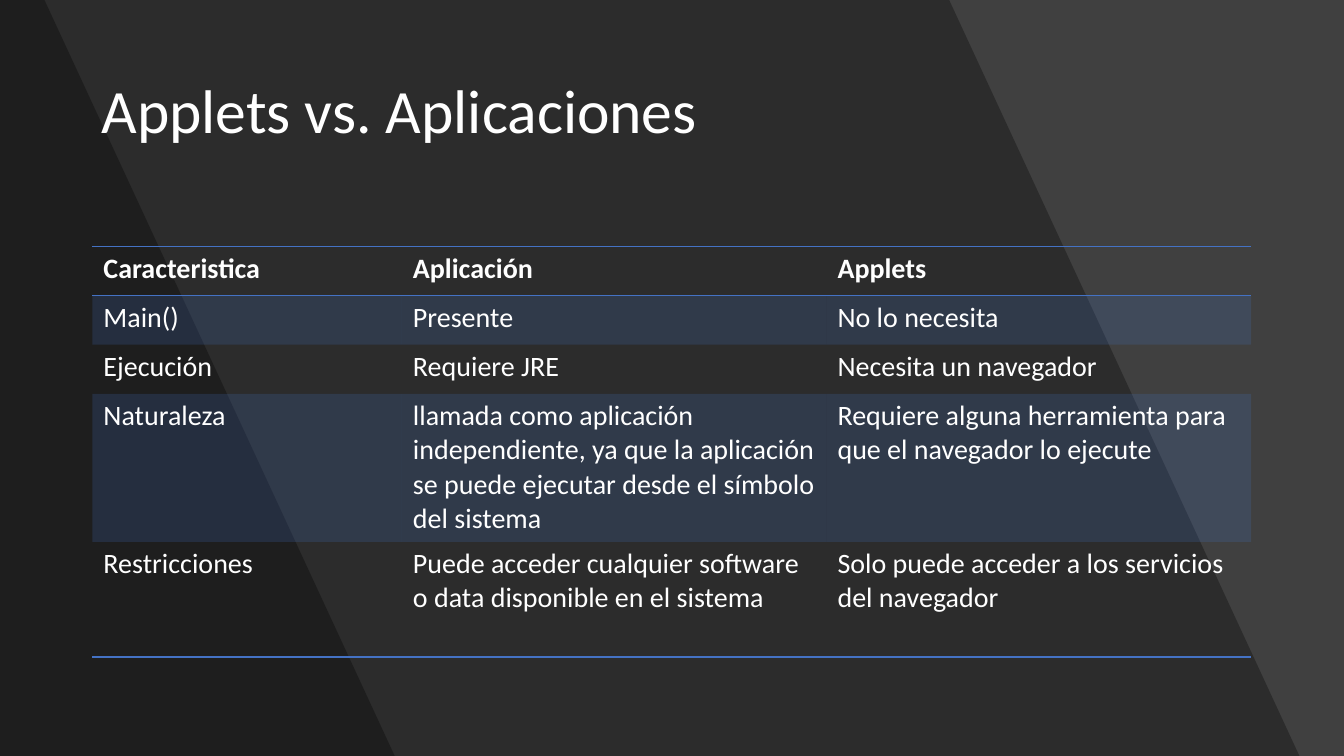
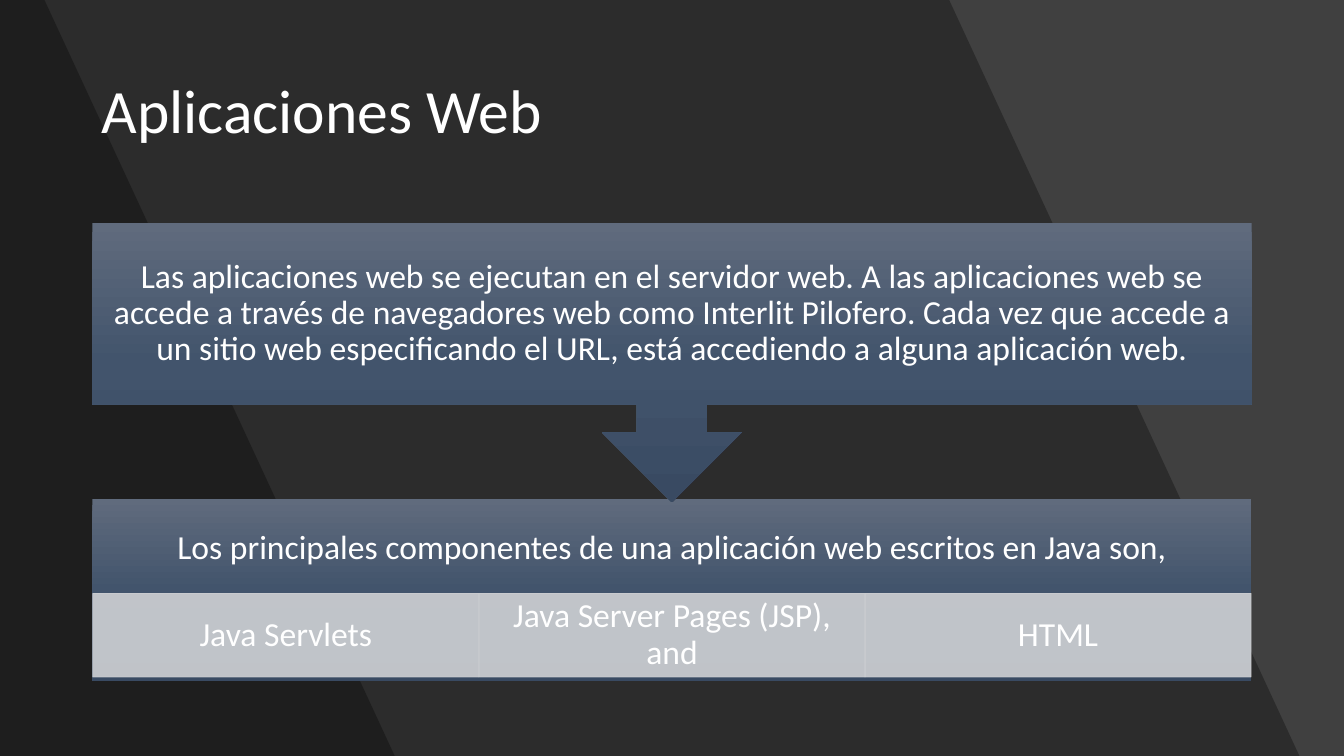
from copy import deepcopy
from itertools import accumulate

from lxml import etree
from pptx import Presentation
from pptx import util as u
from pptx.dml.color import RGBColor
from pptx.enum import shapes, text
from pptx.oxml import ns

WIDTH, HEIGHT = u.Emu(12192000), u.Emu(6858000)
GRID_COLS, GRID_ROWS = 160, 90
LEFT, SPAN = 11, 138

BACKDROP = RGBColor(0x40, 0x40, 0x40)
BLACK = RGBColor(0, 0, 0)
WHITE = RGBColor(0xFF, 0xFF, 0xFF)
ACCENT = RGBColor(0x44, 0x72, 0xC4)
PALE = RGBColor(0xCF, 0xD1, 0xD4)
STEEL = (
    RGBColor(0x60, 0x6B, 0x7D),
    RGBColor(0x42, 0x54, 0x6C),
    RGBColor(0x39, 0x4A, 0x62),
)
FONT = "Calibri"
PLAIN_TABLE = "{2D5ABB26-0587-4C30-8999-92F81FD0307C}"

COMPARISON = [
    ("Caracteristica", "Aplicación", "Applets"),
    ("Main()", "Presente", "No lo necesita"),
    ("Ejecución", "Requiere JRE", "Necesita un navegador"),
    (
        "Naturaleza",
        "llamada como aplicación independiente, ya que la aplicación "
        "se puede ejecutar desde el símbolo del sistema",
        "Requiere alguna herramienta para que el navegador lo ejecute",
    ),
    (
        "Restricciones",
        "Puede acceder cualquier software o data disponible en el sistema",
        "Solo puede acceder a los servicios del navegador",
    ),
]
DEFINITION = (
    "Las aplicaciones web se ejecutan en el servidor web. A las aplicaciones web "
    "se accede a través de navegadores web como Interlit Pilofero. Cada vez que "
    "accede a un sitio web especificando el URL, está accediendo a alguna "
    "aplicación web."
)
INTRO = "Los principales componentes de una aplicación web escritos en Java son,"
COMPONENTS = ("Java Servlets", "Java Server Pages (JSP), and", "HTML")


def col(count):
    return u.Emu(round(WIDTH * count / GRID_COLS))


def row(count):
    return u.Emu(round(HEIGHT * count / GRID_ROWS))


def area(left, top, width, height):
    return col(left), row(top), col(width), row(height)


def write(frame, words, size=24, bold=False, align=text.PP_ALIGN.LEFT,
          anchor=text.MSO_ANCHOR.MIDDLE, spacing=0.9, insets=(0.1, 0.05)):
    frame.word_wrap = True
    frame.vertical_anchor = anchor
    frame.margin_left = frame.margin_right = u.Inches(insets[0])
    frame.margin_top = frame.margin_bottom = u.Inches(insets[1])
    format_line(frame.paragraphs[0], words, size, bold, align, spacing)


def format_line(paragraph, words, size, bold, align, spacing):
    paragraph.alignment = align
    paragraph.line_spacing = spacing
    run = paragraph.add_run()
    run.text = words
    run.font.name = FONT
    run.font.size = u.Pt(size)
    run.font.bold = bold
    run.font.color.rgb = WHITE


def add_text(slide, place, words, **style):
    write(slide.shapes.add_textbox(*place).text_frame, words, **style)


def fade(element, percent):
    for color in element.iter(ns.qn("a:srgbClr")):
        etree.SubElement(color, ns.qn("a:alpha"), val=str(percent * 1000))


def paint(shape, color, percent, outline=None):
    shape.shadow.inherit = False
    shape.fill.solid()
    shape.fill.fore_color.rgb = color
    if outline:
        shape.line.color.rgb = color
        shape.line.width = u.Pt(outline)
    else:
        shape.line.fill.background()
    fade(shape._element.spPr, percent)


def add_slanted_band(slide, top_edge, bottom_edge):
    outline = slide.shapes.build_freeform(0, 0)
    outline.add_line_segments(
        [(col(top_edge), 0), (col(bottom_edge), HEIGHT), (0, HEIGHT)], close=True
    )
    paint(outline.convert_to_shape(), BLACK, 30)


def add_gradient_panel(slide, kind, place):
    panel = slide.shapes.add_shape(kind, *place)
    panel.shadow.inherit = False
    panel.line.fill.background()
    panel.fill.gradient()
    panel.fill.gradient_angle = 270
    stop_list = panel._element.spPr.find(".//" + ns.qn("a:gsLst"))
    stop_list.append(deepcopy(stop_list[-1]))
    for stop, color, position in zip(panel.fill.gradient_stops, STEEL, (0, 0.5, 1)):
        stop.color.rgb = color
        stop.position = position
    return panel


def rule_cell(cell, sides):
    properties = cell._tc.get_or_add_tcPr()
    for index, side in enumerate(sides):
        line = etree.Element(ns.qn("a:ln" + side), w=str(u.Pt(1)))
        fill = etree.SubElement(line, ns.qn("a:solidFill"))
        etree.SubElement(fill, ns.qn("a:srgbClr"), val=str(ACCENT))
        properties.insert(index, line)


def fill_cell(cell, shaded):
    if shaded:
        cell.fill.solid()
        cell.fill.fore_color.rgb = ACCENT
        fade(cell._tc.tcPr.find(ns.qn("a:solidFill")), 20)
    else:
        cell.fill.background()


def write_cell(cell, words, bold):
    cell.vertical_anchor = text.MSO_ANCHOR.TOP
    cell.margin_left = cell.margin_right = u.Inches(0.11)
    cell.margin_top = cell.margin_bottom = u.Inches(0.05)
    format_line(cell.text_frame.paragraphs[0], words, 20, bold,
                text.PP_ALIGN.LEFT, 1.0)


def add_comparison(slide, top, widths, heights):
    place = area(LEFT, top, sum(widths), sum(heights))
    frame = slide.shapes.add_table(len(heights), len(widths), *place)
    table = frame.table
    table.horz_banding = False
    table._tbl.tblPr.find(ns.qn("a:tableStyleId")).text = PLAIN_TABLE
    for column, width in zip(table.columns, widths):
        column.width = col(width)
    last = len(heights) - 1
    rules = {0: "TB", last: "B"}
    for r, (height, entries) in enumerate(zip(heights, COMPARISON)):
        table.rows[r].height = row(height)
        for c, words in enumerate(entries):
            cell = table.cell(r, c)
            write_cell(cell, words, bold=r == 0)
            fill_cell(cell, shaded=r % 2 == 1)
            rule_cell(cell, rules.get(r, ""))


def add_components(slide, left, top, span, height):
    width = span / len(COMPONENTS)
    lefts = accumulate([width] * (len(COMPONENTS) - 1), initial=left)
    for start, words in zip(lefts, COMPONENTS):
        component = slide.shapes.add_shape(
            shapes.MSO_SHAPE.RECTANGLE, *area(start, top, width, height)
        )
        paint(component, PALE, 90, outline=0.5)
        write(component.text_frame, words, align=text.PP_ALIGN.CENTER,
              insets=(0.19, 0.03))


def start_slide(deck, title):
    slide = deck.slides.add_slide(deck.slide_layouts[6])
    slide.background.fill.solid()
    slide.background.fill.fore_color.rgb = BACKDROP
    add_slanted_band(slide, 113, 154.7)
    add_slanted_band(slide, 5.3, 47)
    add_text(slide, area(10.9, 4.8, SPAN, 17.4), title, size=44)
    return slide


def build_comparison(deck):
    slide = start_slide(deck, "Applets vs. Aplicaciones")
    add_comparison(slide, 29.36, (36.85, 50.55, 50.55), (5.84, 5.84, 5.84, 17.64, 13.7))


def build_web_applications(deck):
    slide = start_slide(deck, "Aplicaciones Web")
    centred = {"align": text.PP_ALIGN.CENTER, "insets": (0.19, 0.19)}
    add_gradient_panel(slide, shapes.MSO_SHAPE.RECTANGLE, area(LEFT, 59.4, SPAN, 21.65))
    add_text(slide, area(LEFT, 59.4, SPAN, 11.7), INTRO, **centred)
    add_components(slide, 11.05, 70.65, 137.9, 9.95)
    definition = add_gradient_panel(
        slide, shapes.MSO_SHAPE.DOWN_ARROW_CALLOUT, area(LEFT, 26.52, SPAN, 33.28)
    )
    write(definition.text_frame, DEFINITION, **centred)


def main():
    deck = Presentation()
    deck.slide_width, deck.slide_height = WIDTH, HEIGHT
    build_comparison(deck)
    build_web_applications(deck)
    deck.save("out.pptx")


main()
